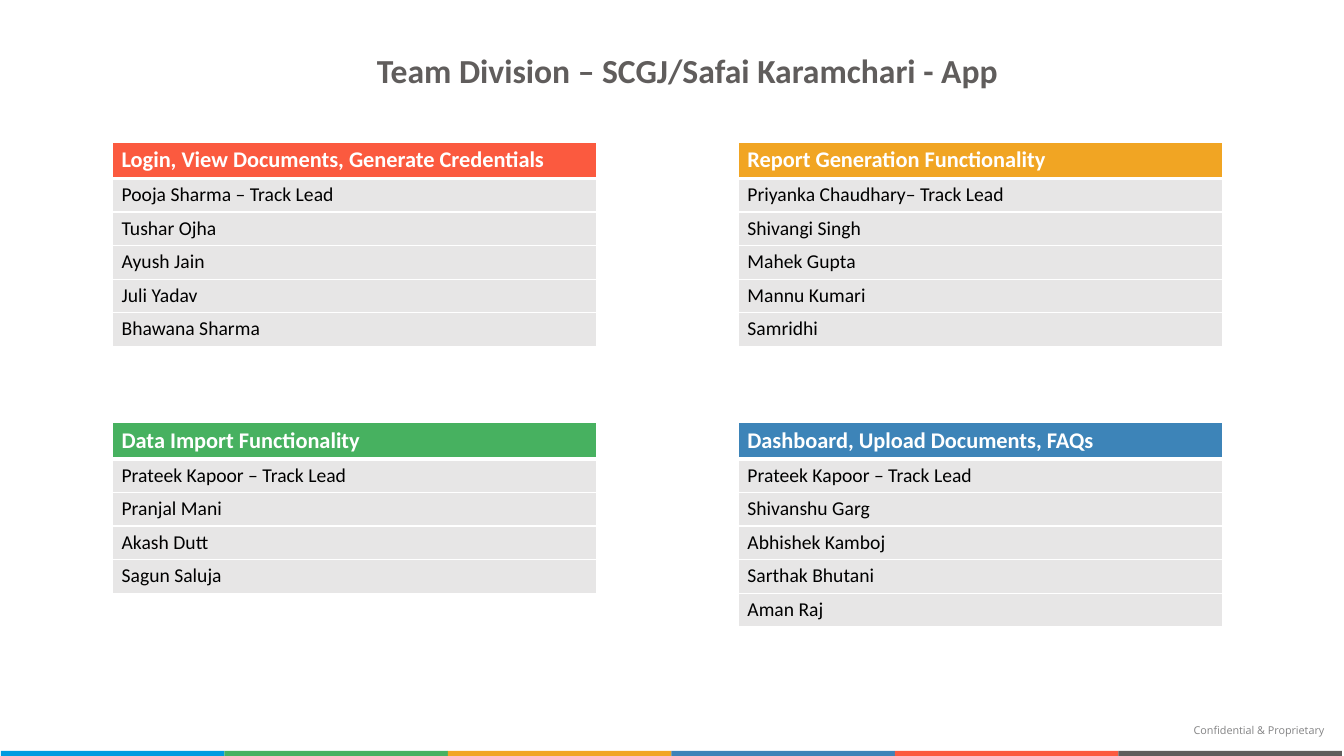
import pptx
import pptx.util
import pptx.dml.color
import pptx.enum.shapes
import pptx.enum.text
import pptx.oxml.ns
from lxml import etree

Pt = pptx.util.Pt
COLORS = {
    "white": "FFFFFF",
    "black": "000000",
    "member": "E7E6E6",
    "slate": "605D5C",
    "footer": "838384",
    "sky": "009BE0",
    "green": "47B160",
    "amber": "F1A523",
    "navy": "005DA2",
    "steel": "3D84B8",
    "coral": "FB5A3F",
}
STRIPES = [("sky", 100), ("green", 100), ("amber", 100),
           ("navy", 76), ("coral", 100), ("slate", 100)]
TEAMS = [
    ("Login, View Documents, Generate Credentials", "coral",
     ["Pooja Sharma – Track Lead", "Tushar Ojha", "Ayush Jain",
      "Juli Yadav", "Bhawana Sharma"]),
    ("Report Generation Functionality", "amber",
     ["Priyanka Chaudhary– Track Lead", "Shivangi Singh", "Mahek Gupta",
      "Mannu Kumari", "Samridhi"]),
    ("Data Import Functionality", "green",
     ["Prateek Kapoor – Track Lead", "Pranjal Mani", "Akash Dutt",
      "Sagun Saluja"]),
    ("Dashboard, Upload Documents, FAQs", "steel",
     ["Prateek Kapoor – Track Lead", "Shivanshu Garg", "Abhishek Kamboj",
      "Sarthak Bhutani", "Aman Raj"]),
]
HEADER_HEIGHT, MEMBER_HEIGHT = 26, 24


def rgb(color):
    return pptx.dml.color.RGBColor.from_string(COLORS[color])


def add_run(paragraph, text, size, color, bold=False, font="Calibri"):
    run = paragraph.add_run()
    run.text = text
    run.font.name = font
    run.font.size = Pt(size)
    run.font.bold = bold
    run.font.color.rgb = rgb(color)


def sub_element(parent, tag, **attributes):
    return etree.SubElement(parent, pptx.oxml.ns.qn(tag), **attributes)


def set_borders(cell, top, bottom):
    properties = cell._tc.get_or_add_tcPr()
    sides = [("L", 1), ("R", 1), ("T", top), ("B", bottom)]
    for position, (side, width) in enumerate(sides):
        line = sub_element(properties, f"a:ln{side}", w=str(Pt(width)))
        fill = sub_element(line, "a:solidFill")
        sub_element(fill, "a:srgbClr", val=COLORS["white"])
        properties.insert(position, line)


def place_title(slide, left, top, width, height):
    title = slide.shapes.title
    title.left, title.top = Pt(left), Pt(top)
    title.width, title.height = Pt(width), Pt(height)
    frame = title.text_frame
    frame.word_wrap = False
    frame.auto_size = pptx.enum.text.MSO_AUTO_SIZE.NONE
    frame.vertical_anchor = pptx.enum.text.MSO_ANCHOR.TOP
    heading = frame.paragraphs[0]
    heading.alignment = pptx.enum.text.PP_ALIGN.LEFT
    add_run(heading, "Team Division – SCGJ/Safai Karamchari - App",
            24, "slate", bold=True)


def add_team(slide, left, top, width, track, accent, members):
    rows = [(track, accent, 16, "white", True, HEADER_HEIGHT)]
    rows += [(member, "member", 14, "black", False, MEMBER_HEIGHT)
             for member in members]
    height = sum(row[-1] for row in rows)
    team = slide.shapes.add_table(
        len(rows), 1, Pt(left), Pt(top), Pt(width), Pt(height)).table
    for index, (text, fill, size, color, bold, row_height) in enumerate(rows):
        team.rows[index].height = Pt(row_height)
        cell = team.cell(index, 0)
        cell.margin_left = cell.margin_right = Pt(6.6)
        cell.margin_top = cell.margin_bottom = Pt(3.2)
        cell.fill.solid()
        cell.fill.fore_color.rgb = rgb(fill)
        set_borders(cell, top=3 if index == 1 else 1,
                    bottom=3 if index == 0 else 1)
        add_run(cell.text_frame.paragraphs[0], text, size, color, bold)


def add_teams(slide, left, top, width, column_step, row_step):
    for index, team in enumerate(TEAMS):
        row, column = divmod(index, 2)
        add_team(slide, left + column * column_step, top + row * row_step,
                 width, *team)


def add_confidentiality(slide, left, top, width, height):
    notice = slide.shapes.add_textbox(Pt(left), Pt(top), Pt(width), Pt(height))
    frame = notice.text_frame
    frame.word_wrap = True
    frame.margin_right = Pt(12.6)
    paragraph = frame.paragraphs[0]
    paragraph.alignment = pptx.enum.text.PP_ALIGN.RIGHT
    add_run(paragraph, "Confidential & Proprietary", 7.7, "footer",
            font="Open Sans")


def add_stripes(slide, left, top, width, height):
    stripe_width = width / len(STRIPES)
    for index, (color, opacity) in enumerate(STRIPES):
        stripe = slide.shapes.add_shape(
            pptx.enum.shapes.MSO_SHAPE.RECTANGLE,
            Pt(left + index * stripe_width), Pt(top),
            Pt(stripe_width), Pt(height))
        stripe.shadow.inherit = False
        stripe.line.fill.background()
        stripe.fill.solid()
        stripe.fill.fore_color.rgb = rgb(color)
        if opacity < 100:
            shade = stripe._element.spPr.find(".//" + pptx.oxml.ns.qn("a:srgbClr"))
            sub_element(shade, "a:alpha", val=str(opacity * 1000))


presentation = pptx.Presentation()
presentation.slide_width, presentation.slide_height = Pt(960), Pt(540)
slide = presentation.slides.add_slide(presentation.slide_layouts[5])
add_confidentiality(slide, 811.5, 513.4, 147, 19.4)
add_stripes(slide, 0.7, 536.4, 957.8, 3.6)
add_teams(slide, 80.3, 101.5, 346, 447, 200.3)
place_title(slide, 262, 31.7, 462.2, 36)
presentation.save("out.pptx")
